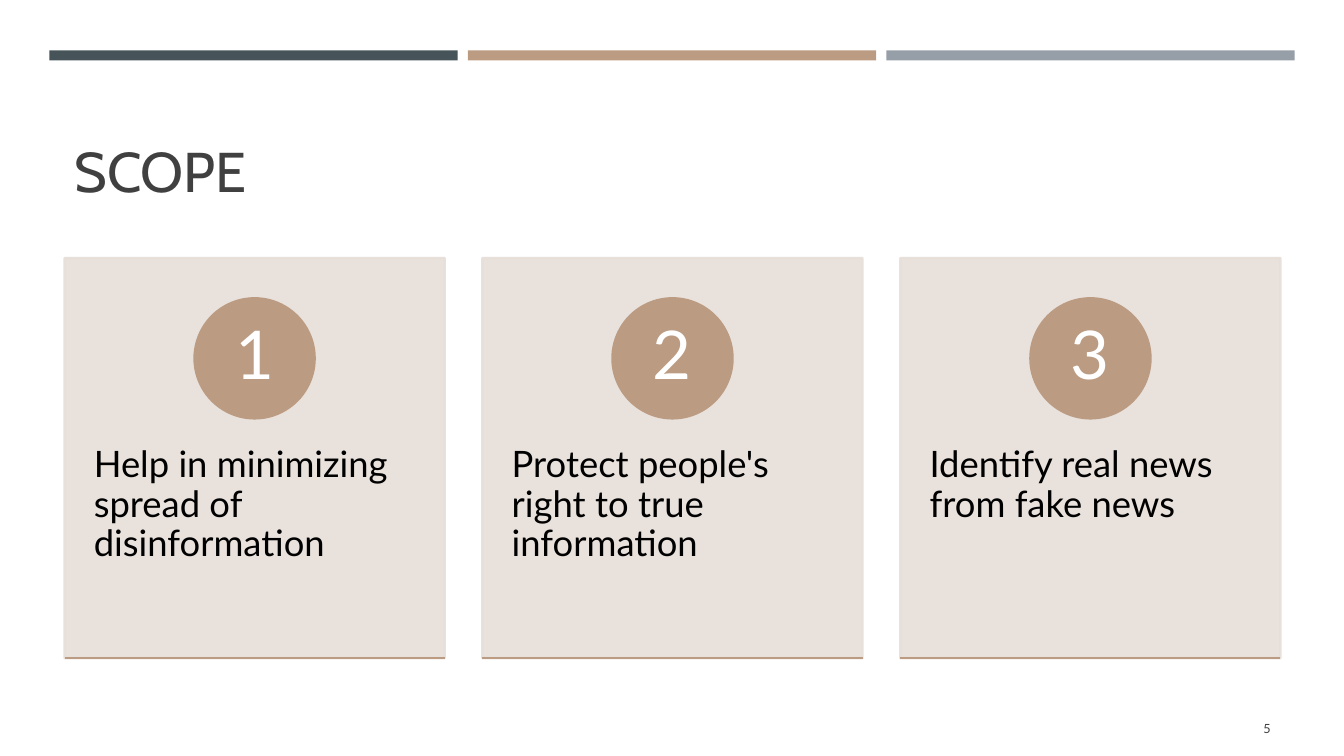
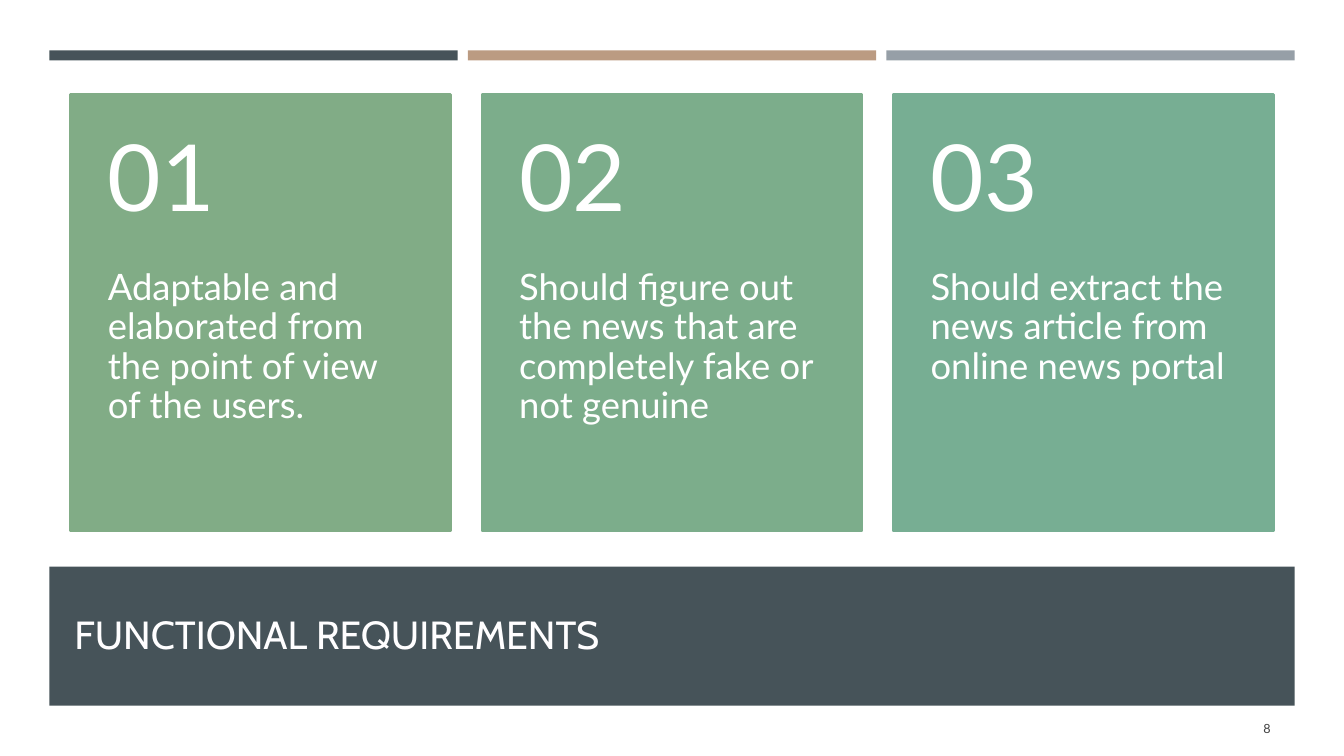
from lxml import etree
from pptx import Presentation
from pptx.dml.color import RGBColor
from pptx.enum.shapes import MSO_CONNECTOR, MSO_SHAPE
from pptx.enum.text import MSO_ANCHOR, PP_ALIGN
from pptx.oxml.ns import qn
from pptx.util import Inches, Pt

SLATE, TAN, GREY = "465359", "BB9B82", "969FA7"
SAND, INK, BLACK, WHITE = "E7DED8", "404040", "000000", "FFFFFF"
TITLE_FONT, BODY_FONT = "Cabin", "Lato"
BAND_LEFT, BAND_STEP, BAND_WIDTH = 0.49, 4.15, 4.05
CARD_WIDTH, CARD_LINE = 3.77, 1.75

SCOPE = {
    "title": "SCOPE",
    "page": "5",
    "cards": [
        ("1", "Help in minimizing spread of disinformation"),
        ("2", "Protect people's right to true information"),
        ("3", "Identify real news from fake news"),
    ],
}
REQUIREMENTS = {
    "title": "FUNCTIONAL REQUIREMENTS",
    "page": "8",
    "cards": [
        ("01", "Adaptable and elaborated from the point of view of the users.", "81AC86"),
        ("02", "Should figure out the news that are completely fake or not genuine", "7CAD8B"),
        ("03", "Should extract the news article from online news portal", "77AE93"),
    ],
}


def rgb(color):
    return RGBColor.from_string(color)


def set_alpha(fill, percent):
    """Make every solid colour inside a shape's properties partly transparent."""
    for color in fill.iter(qn("a:srgbClr")):
        etree.SubElement(color, qn("a:alpha"), val=str(percent * 1000))


def add_block(slide, box, color, kind=MSO_SHAPE.RECTANGLE, outlined=False):
    block = slide.shapes.add_shape(kind, *map(Inches, box))
    block.shadow.inherit = False
    block.fill.solid()
    block.fill.fore_color.rgb = rgb(color)
    if outlined:
        block.line.color.rgb = rgb(color)
        block.line.width = Pt(CARD_LINE)
    else:
        block.line.fill.background()
    return block


def add_rule(slide, left, top, width, color):
    rule = slide.shapes.add_connector(
        MSO_CONNECTOR.STRAIGHT, *map(Inches, (left, top, left + width, top)))
    rule.line.color.rgb = rgb(color)
    rule.line.width = Pt(CARD_LINE)
    etree.SubElement(rule._element.spPr, qn("a:effectLst"))


def add_text(slide, box, text, size, color, font=BODY_FONT, anchor=MSO_ANCHOR.TOP,
             align=PP_ALIGN.LEFT, insets=(0.1, 0.05, 0.1, 0.05), spacing=0.9):
    """Insets run left, top, right, bottom."""
    frame = slide.shapes.add_textbox(*map(Inches, box)).text_frame
    frame.word_wrap = True
    frame.vertical_anchor = anchor
    (frame.margin_left, frame.margin_top,
     frame.margin_right, frame.margin_bottom) = map(Inches, insets)
    paragraph = frame.paragraphs[0]
    paragraph.text = text
    paragraph.alignment = align
    paragraph.line_spacing = spacing
    paragraph.font.name = font
    paragraph.font.size = Pt(size)
    paragraph.font.color.rgb = rgb(color)


def add_title(slide, box, text, size, color, anchor):
    add_text(slide, box, text, size, color, TITLE_FONT, anchor, spacing=1.0)


def add_base_slide(deck, page):
    """Add a slide with the three top bands and the page number."""
    slide = deck.slides.add_slide(deck.slide_layouts[6])
    for index, color in enumerate((SLATE, TAN, GREY)):
        add_block(slide, (BAND_LEFT + index * BAND_STEP, 0.5, BAND_WIDTH, 0.1), color)
    add_text(slide, (11.55, 7.03, 1.15, 0.4), page, 9, INK,
             anchor=MSO_ANCHOR.MIDDLE, align=PP_ALIGN.RIGHT, spacing=1.0)
    return slide


def build_scope(deck):
    slide = add_base_slide(deck, SCOPE["page"])
    add_title(slide, (0.64, 0.77, 12.06, 1.3), SCOPE["title"], 40, INK, MSO_ANCHOR.BOTTOM)
    first, last, top, height = 0.64, 8.93, 2.56, 3.97
    step = (last - first) / (len(SCOPE["cards"]) - 1)
    circle, label = 1.19, 0.84
    for index, (number, text) in enumerate(SCOPE["cards"]):
        left = first + index * step
        center = left + CARD_WIDTH / 2
        card = add_block(slide, (left, top, CARD_WIDTH, height), SAND, outlined=True)
        set_alpha(card._element.spPr, 90)
        add_text(slide, (left, 4.07, CARD_WIDTH, 2.38), text, 26, BLACK,
                 insets=(0.29, 0.36, 0.29, 0.36))
        add_block(slide, (center - circle / 2, 2.96, circle, circle), TAN,
                  MSO_SHAPE.OVAL, outlined=True)
        add_text(slide, (center - label / 2, 3.13, label, label), number, 48, WHITE,
                 anchor=MSO_ANCHOR.MIDDLE, align=PP_ALIGN.CENTER,
                 insets=(0.09, 0.01, 0.09, 0.01))
        add_rule(slide, left, top + height, CARD_WIDTH, TAN)


def build_requirements(deck):
    slide = add_base_slide(deck, REQUIREMENTS["page"])
    add_block(slide, (BAND_LEFT, 5.62, 12.35, 1.38), SLATE)
    add_title(slide, (0.64, 5.76, 11.9, 1.05), REQUIREMENTS["title"], 28, "FFFEFF",
              MSO_ANCHOR.MIDDLE)
    first, step, top, number_height, text_height = 0.7, 4.08, 0.94, 1.73, 2.6
    for index, (number, text, color) in enumerate(REQUIREMENTS["cards"]):
        left = first + index * step
        add_block(slide, (left, top, CARD_WIDTH, number_height + text_height), color,
                  outlined=True)
        add_text(slide, (left, top + number_height, CARD_WIDTH, text_height), text, 26,
                 WHITE, insets=(0.37, 0, 0.37, 0.36))
        add_text(slide, (left, top, CARD_WIDTH, number_height), number, 66, WHITE,
                 anchor=MSO_ANCHOR.MIDDLE, insets=(0.37, 0.18, 0.37, 0.18))


def main():
    deck = Presentation()
    deck.slide_width, deck.slide_height = Inches(13.33), Inches(7.5)
    build_scope(deck)
    build_requirements(deck)
    deck.save("out.pptx")


if __name__ == "__main__":
    main()
